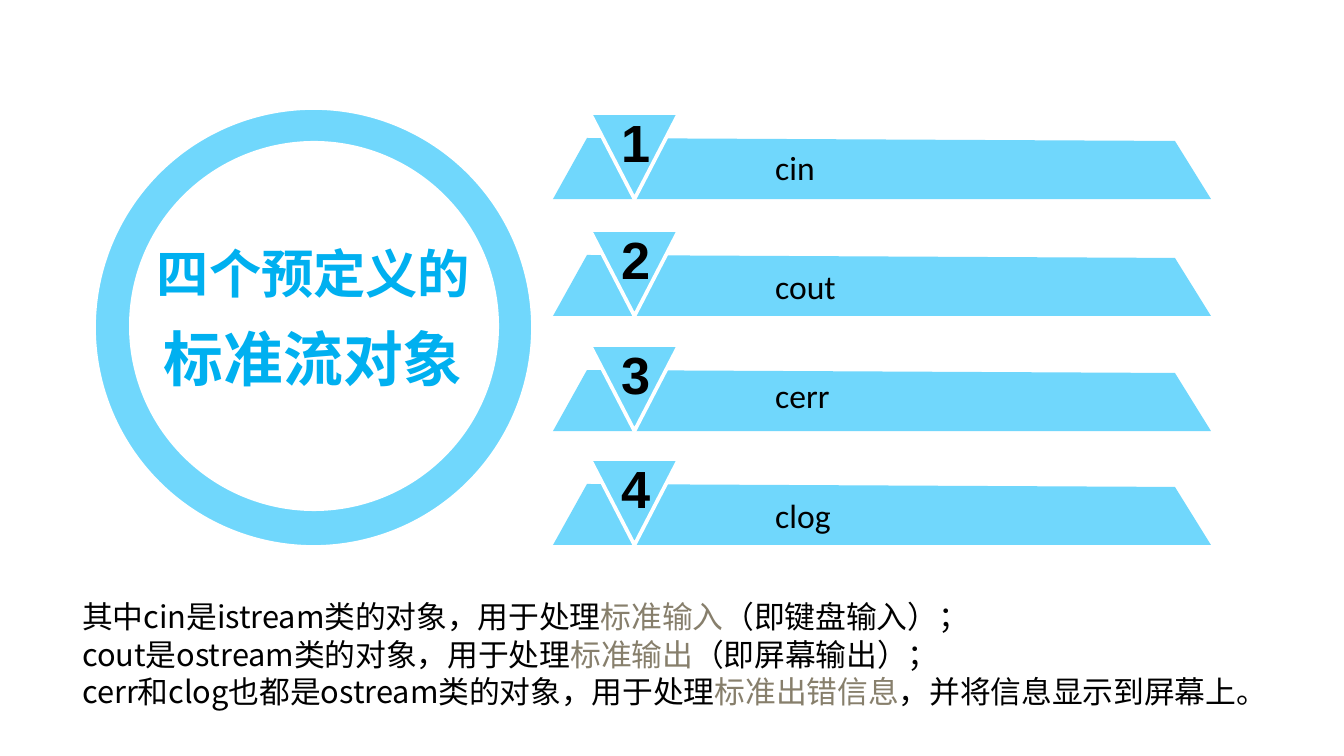
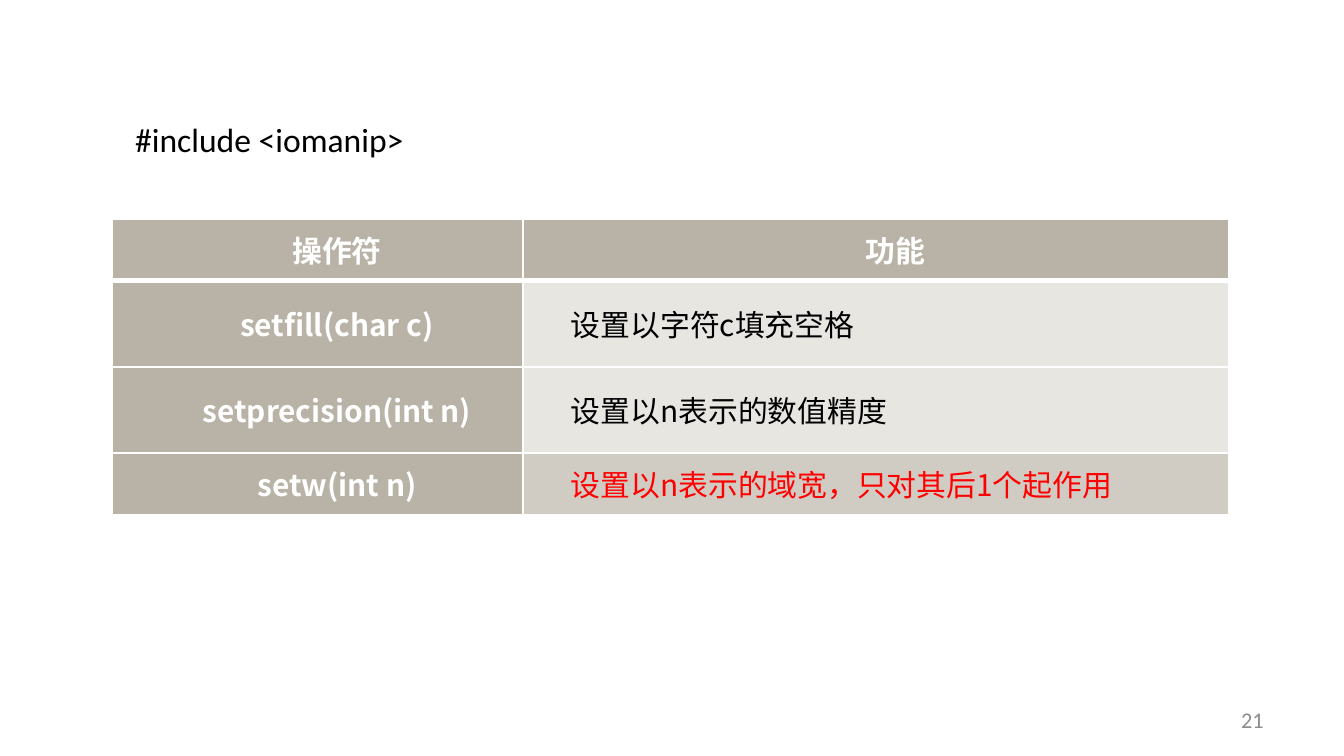
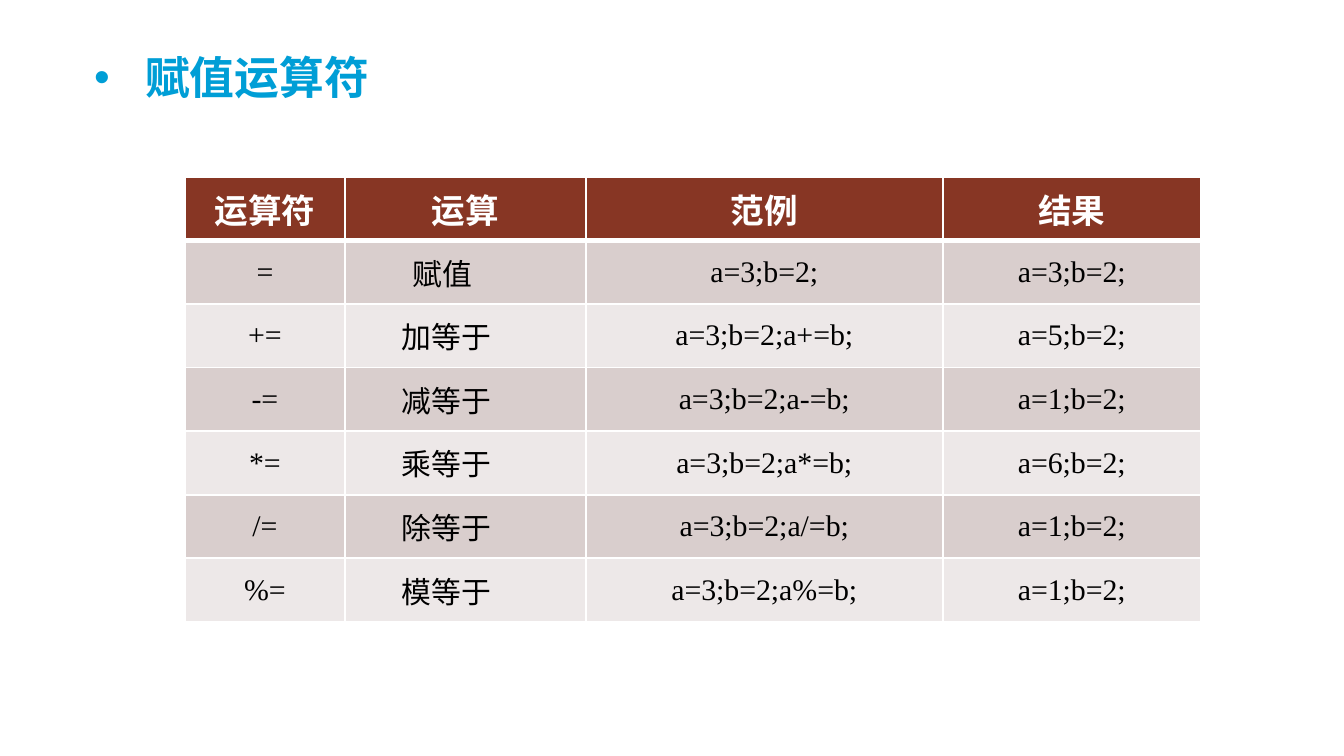
from lxml import etree
from pptx import Presentation
from pptx.dml.color import RGBColor
from pptx.enum.shapes import MSO_SHAPE
from pptx.enum.text import MSO_ANCHOR, MSO_AUTO_SIZE, PP_ALIGN
from pptx.oxml.ns import qn
from pptx.util import Emu, Pt

ELLIPSE, TRIANGLE = MSO_SHAPE.OVAL, MSO_SHAPE.ISOSCELES_TRIANGLE
LEFT, CENTER = PP_ALIGN.LEFT, PP_ALIGN.CENTER
RIGHT, JUSTIFY = PP_ALIGN.RIGHT, PP_ALIGN.JUSTIFY
MIDDLE, GROW = MSO_ANCHOR.MIDDLE, MSO_AUTO_SIZE.SHAPE_TO_FIT_TEXT

SCALE = 914400 / 134.4
CJK, LATIN, SERIF, NUMERAL = "Noto Sans CJK SC", "Calibri", "Times New Roman", "Arial"
WHITE, BLACK, RED, GREY = "FFFFFF", "000000", "FF0000", "8C8C8C"
SKY, AZURE, HEADING, ACCENT = "70D7FC", "00B0F0", "009ED6", "877F6C"
STONE, STONE_LIGHT, STONE_MID = "B8B3A6", "E7E6E1", "D0CCC4"
BRICK, BRICK_MID, BRICK_LIGHT = "873624", "D9CECD", "EDE8E8"


def px(length):
    return Emu(round(length * SCALE))


def rgb(value):
    return RGBColor.from_string(value)


class Deck:
    def __init__(self, width, height):
        self.prs = Presentation()
        self.prs.slide_width, self.prs.slide_height = px(width), px(height)
        self.slide = self.canvas = None

    def new_slide(self):
        self.slide = self.prs.slides.add_slide(self.prs.slide_layouts[6])
        self.canvas = self.slide.shapes

    def group(self):
        self.canvas = self.slide.shapes.add_group_shape().shapes

    def ungroup(self):
        self.canvas = self.slide.shapes

    def paint(self, shape, fill, outline=None):
        shape.shadow.inherit = False
        shape.fill.solid()
        shape.fill.fore_color.rgb = rgb(fill)
        if outline:
            shape.line.color.rgb = rgb(outline)
            shape.line.width = Pt(2)
        else:
            shape.line.fill.background()

    def shape(self, kind, box, fill, outline=None, flip=False):
        shape = self.canvas.add_shape(kind, *map(px, box))
        self.paint(shape, fill, outline)
        if flip:
            shape.element.spPr.find(qn("a:xfrm")).set("flipV", "1")

    def polygon(self, points, fill):
        builder = self.canvas.build_freeform(*points[0], scale=SCALE)
        builder.add_line_segments(points[1:], close=True)
        self.paint(builder.convert_to_shape(), fill)

    def style_run(self, run, size, font, color, bold=False):
        run.font.size, run.font.name, run.font.bold = Pt(size), font, bold
        run.font.color.rgb = rgb(color)
        east_asian = etree.SubElement(run.font._element, qn("a:ea"))
        east_asian.set("typeface", CJK)

    def text(self, box, paragraphs, font=LATIN, bold=False, align=LEFT,
             spacing=None, wrap=True, grow=True, bullet=None):
        """Each paragraph is a list of (text, size, color) runs."""
        frame = self.canvas.add_textbox(*map(px, box)).text_frame
        frame.word_wrap = wrap
        if grow:
            frame.auto_size = GROW
        else:
            frame.vertical_anchor = MIDDLE
        for index, pieces in enumerate(paragraphs):
            paragraph = frame.add_paragraph() if index else frame.paragraphs[0]
            paragraph.alignment = align
            if spacing:
                paragraph.line_spacing = spacing
            for words, size, color in pieces:
                run = paragraph.add_run()
                run.text = words
                self.style_run(run, size, font, color, bold)
            if bullet:
                self.bullet(paragraph, *bullet)

    def bullet(self, paragraph, mark, indent):
        properties = paragraph._p.get_or_add_pPr()
        properties.set("marL", str(px(indent)))
        properties.set("indent", str(-px(indent)))
        etree.SubElement(properties, qn("a:buFont")).set("typeface", NUMERAL)
        etree.SubElement(properties, qn("a:buChar")).set("char", mark)

    def table(self, left, top, widths, heights, rows, look):
        """look(row, column) gives size, font, color, bold, fill, align, indent."""
        table = self.canvas.add_table(
            len(rows), len(widths), px(left), px(top),
            px(sum(widths)), px(sum(heights))).table
        table.horz_banding = False
        for column, width in zip(table.columns, widths):
            column.width = px(width)
        for row, height in zip(table.rows, heights):
            row.height = px(height)
        for r, words_in_row in enumerate(rows):
            for c, words in enumerate(words_in_row):
                self.cell(table.cell(r, c), words, r, *look(r, c))

    def cell(self, cell, words, row, size, font, color, bold, fill, align, indent):
        cell.margin_left = cell.margin_right = px(9)
        cell.margin_top = cell.margin_bottom = 0
        cell.vertical_anchor = MIDDLE
        cell.fill.solid()
        cell.fill.fore_color.rgb = rgb(fill)
        paragraph = cell.text_frame.paragraphs[0]
        paragraph.text = words
        paragraph.alignment = align
        paragraph._p.get_or_add_pPr().set("indent", str(px(indent)))
        self.style_run(paragraph.runs[0], size, font, color, bold)
        # White rules, thicker under the header row
        rules = {"lnL": 1, "lnR": 1, "lnT": 3 if row == 1 else 1, "lnB": 1 if row else 3}
        properties = cell._tc.get_or_add_tcPr()
        for position, (side, width) in enumerate(rules.items()):
            rule = etree.Element(qn("a:" + side), w=str(Pt(width)))
            solid = etree.SubElement(rule, qn("a:solidFill"))
            etree.SubElement(solid, qn("a:srgbClr")).set("val", WHITE)
            properties.insert(position, rule)


deck = Deck(1344, 756)

# Slide 1: the four standard streams
deck.new_slide()
deck.group()
deck.shape(ELLIPSE, (94, 108, 439, 439), SKY, WHITE)
deck.shape(ELLIPSE, (129, 141, 370, 370), WHITE)
deck.text((128, 219, 371, 218), [[("四个预定义的", 28, AZURE), ("标准流对象", 32, AZURE)]],
          font=CJK, bold=True, align=CENTER, spacing=1.25)

# Numbered bands: name, band top, label top, label width
streams = [("cin", 138, 140, 118), ("cout", 255, 259, 91),
           ("cerr", 370, 368, 86), ("clog", 484, 488, 89)]
for number, (stream, top, label_top, label_width) in enumerate(streams, 1):
    deck.group()
    deck.polygon([(587, top), (1175, top + 3), (1211, top + 61), (553, top + 61)], SKY)
    deck.shape(TRIANGLE, (590, top - 25, 89, 86), SKY, WHITE, flip=True)
    deck.text((608, top - 34, 56, 77), [[(str(number), 28, BLACK)]],
              font=NUMERAL, bold=True, wrap=False)
    deck.text((762, label_top, label_width, 54), [[(stream, 18, BLACK)]], wrap=False)

# Explanation with accented key terms
deck.ungroup()
explanations = [
    ("其中cin是istream类的对象，用于处理", "标准输入", "（即键盘输入）；"),
    ("cout是ostream类的对象，用于处理", "标准输出", "（即屏幕输出）；"),
    ("cerr和clog也都是ostream类的对象，用于处理", "标准出错信息", "，并将信息显示到屏幕上。"),
]
deck.text((69, 591, 1238, 125),
          [[(words, 16.5, color) for words, color in zip(line, (BLACK, ACCENT, BLACK))]
           for line in explanations], font=CJK, spacing=Pt(20))

# Slide 2: stream manipulators
deck.new_slide()
deck.text((964, 700, 313, 40), [[("21", 12, GREY)]], align=RIGHT, grow=False)
manipulators = [
    ("操作符", "功能"),
    ("setfill(char c)", "设置以字符c填充空格"),
    ("setprecision(int n)", "设置以n表示的数值精度"),
    ("setw(int n)", "设置以n表示的域宽，只对其后1个起作用"),
]


def manipulator_look(row, column):
    if row == 0 or column == 0:
        return 16, CJK, WHITE, True, STONE, CENTER, 39
    last = row == len(manipulators) - 1
    return (16, CJK, RED if last else BLACK, False,
            STONE_MID if last else STONE_LIGHT, JUSTIFY, 39)


deck.table(112, 219, [411, 706], [62, 86, 86, 62], manipulators, manipulator_look)
deck.text((122, 112, 298, 54), [[("#include <iomanip>", 18, BLACK)]], wrap=False)

# Slide 3: assignment operators
deck.new_slide()
deck.text((81, 30, 305, 95), [[("赋值运算符", 24, HEADING)]], bold=True,
          spacing=1.25, wrap=False, bullet=("•", 51))
operators = [
    ("运算符", "运算", "范例", "结果"),
    ("=", "赋值", "a=3;b=2;", "a=3;b=2;"),
    ("+=", "加等于", "a=3;b=2;a+=b;", "a=5;b=2;"),
    ("-=", "减等于", "a=3;b=2;a-=b;", "a=1;b=2;"),
    ("*=", "乘等于", "a=3;b=2;a*=b;", "a=6;b=2;"),
    ("/=", "除等于", "a=3;b=2;a/=b;", "a=1;b=2;"),
    ("%=", "模等于", "a=3;b=2;a%=b;", "a=1;b=2;"),
]


def operator_look(row, column):
    if row == 0:
        return 18, SERIF, WHITE, True, BRICK, CENTER, 0
    fill = BRICK_MID if row % 2 else BRICK_LIGHT
    if column == 1:
        return 16, SERIF, BLACK, False, fill, JUSTIFY, 59 if row == 1 else 48
    return 16, SERIF, BLACK, False, fill, CENTER, 0


deck.table(185, 177, [160, 241, 357, 258], [445 / len(operators)] * len(operators),
           operators, operator_look)

deck.prs.save("out.pptx")
